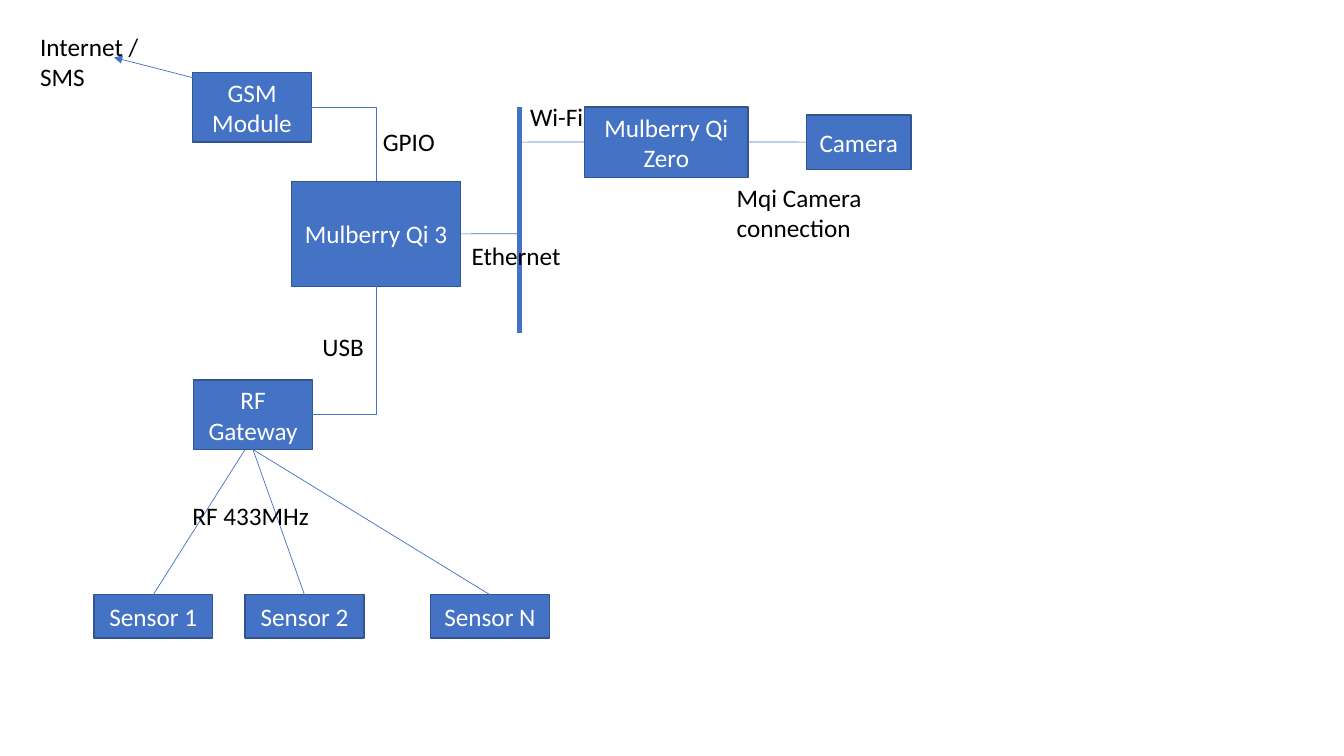
import pptx
import pptx.util
import pptx.dml.color
import pptx.enum.shapes
import pptx.enum.text
import pptx.oxml.ns
import lxml.etree

deck = pptx.Presentation()
deck.slide_width = pptx.util.Inches(13.333)
deck.slide_height = pptx.util.Inches(7.5)
slide = deck.slides.add_slide(deck.slide_layouts[6])

# All places are percentages of the slide's width and height
column = deck.slide_width / 100
row = deck.slide_height / 100
BLUE, DARK_BLUE, WHITE, BLACK = "4472C4", "325491", "FFFFFF", "000000"
TOP, LEFT, BOTTOM, RIGHT = range(4)


def paint(color_format, color):
    color_format.rgb = pptx.dml.color.RGBColor.from_string(color)


def write(frame, wording, color):
    frame.text = wording
    font = frame.paragraphs[0].runs[0].font
    font.name = "Calibri"
    font.size = pptx.util.Pt(18)
    paint(font.color, color)


# Devices: left, top, width, height
devices = {
    "Mulberry Qi 3": (21.68, 24, 12.6, 13.87),
    "GSM Module": (14.33, 9.6, 8.85, 9.2),
    "Mulberry Qi Zero": (43.5, 14.13, 12.15, 9.33),
    "Camera": (60, 15.2, 7.8, 7.2),
    "RF Gateway": (14.4, 50.27, 8.85, 9.2),
    "Sensor 1": (6.98, 78.67, 8.85, 5.73),
    "Sensor 2": (18.23, 78.67, 8.85, 5.73),
    "Sensor N": (32.03, 78.67, 8.85, 5.73),
}
boxes = {}
for name, (left, top, width, height) in devices.items():
    box = slide.shapes.add_shape(
        pptx.enum.shapes.MSO_SHAPE.RECTANGLE,
        int(left * column), int(top * row), int(width * column), int(height * row))
    box.shadow.inherit = False
    box.fill.solid()
    paint(box.fill.fore_color, BLUE)
    paint(box.line.color, DARK_BLUE)
    box.line.width = pptx.util.Pt(1)
    box.text_frame.vertical_anchor = pptx.enum.text.MSO_ANCHOR.MIDDLE
    write(box.text_frame, name, WHITE)
    box.text_frame.paragraphs[0].alignment = pptx.enum.text.PP_ALIGN.CENTER
    boxes[name] = box

# Links: each end is a device with its side, or a free point
network = 38.63
links = [
    ((network, 14.13), (network, 44), "bus"),
    (("GSM Module", RIGHT), ("Mulberry Qi 3", TOP), "bent"),
    (("Mulberry Qi 3", RIGHT), (network, 30.93), "line"),
    (("Mulberry Qi Zero", LEFT), (network, 18.8), "line"),
    (("Mulberry Qi Zero", RIGHT), ("Camera", LEFT), "line"),
    (("RF Gateway", RIGHT), ("Mulberry Qi 3", BOTTOM), "bent"),
    (("Sensor 1", TOP), (18.23, 59.47), "line"),
    (("Sensor 2", TOP), ("RF Gateway", BOTTOM), "line"),
    (("Sensor N", TOP), ("RF Gateway", BOTTOM), "line"),
    ((14.33, 10.27), (8.48, 7.6), "arrow"),
]
for start, end, style in links:
    ends = []
    for place, side in (start, end):
        if place in boxes:
            box = boxes[place]
            across = {LEFT: 0, RIGHT: 1}.get(side, 0.5)
            down = {TOP: 0, BOTTOM: 1}.get(side, 0.5)
            ends += [int(box.left + across * box.width), int(box.top + down * box.height)]
        else:
            ends += [int(place * column), int(side * row)]
    kinds = pptx.enum.shapes.MSO_CONNECTOR
    link = slide.shapes.add_connector(
        kinds.ELBOW if style == "bent" else kinds.STRAIGHT, *ends)
    if start[0] in boxes:
        link.begin_connect(boxes[start[0]], start[1])
    if end[0] in boxes:
        link.end_connect(boxes[end[0]], end[1])
    paint(link.line.color, BLUE)
    link.line.width = pptx.util.Pt(3.5 if style == "bus" else 0.5)
    properties = link._element.spPr
    lxml.etree.SubElement(properties, pptx.oxml.ns.qn("a:effectLst"))
    if style == "bent":
        properties.find(pptx.oxml.ns.qn("a:prstGeom")).set("prst", "bentConnector2")
    if style == "arrow":
        outline = properties.find(pptx.oxml.ns.qn("a:ln"))
        lxml.etree.SubElement(outline, pptx.oxml.ns.qn("a:tailEnd"), type="triangle")

# Link labels: left, top, width, height, wrapped
labels = [
    ("RF 433MHz", 13.58, 65.47, 10.28, 5.33, False),
    ("Ethernet", 34.35, 31.07, 8.25, 5.33, False),
    ("Wi-Fi", 38.7, 12.8, 5.48, 5.33, False),
    ("Mqi Camera connection", 54.08, 23.47, 10.95, 9.47, True),
    ("GPIO", 27.75, 16, 10.95, 5.33, True),
    ("Internet / SMS", 2.25, 3.47, 10.95, 9.47, True),
    ("USB", 23.25, 43.2, 4.65, 5.33, False),
]
for wording, left, top, width, height, wrapped in labels:
    label = slide.shapes.add_textbox(
        int(left * column), int(top * row), int(width * column), int(height * row))
    label.text_frame.word_wrap = wrapped
    label.text_frame.auto_size = pptx.enum.text.MSO_AUTO_SIZE.SHAPE_TO_FIT_TEXT
    write(label.text_frame, wording, BLACK)

deck.save("out.pptx")
